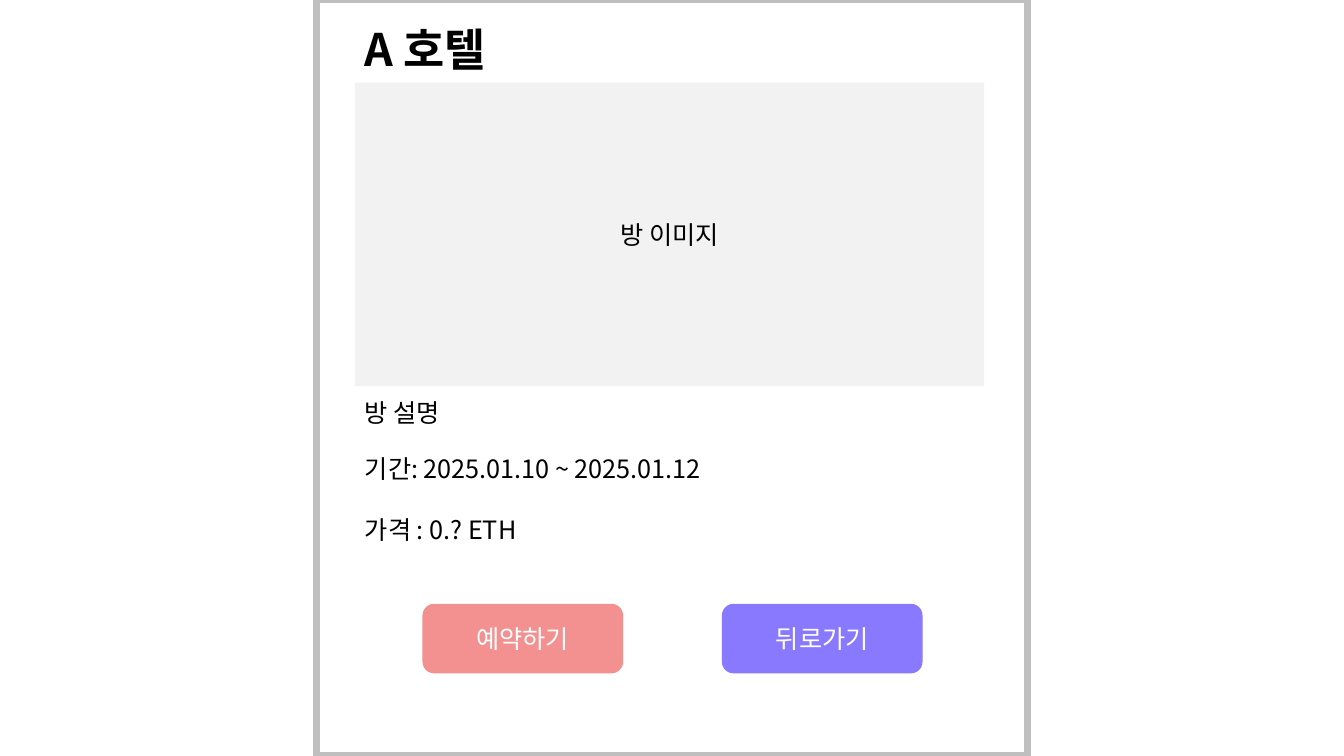
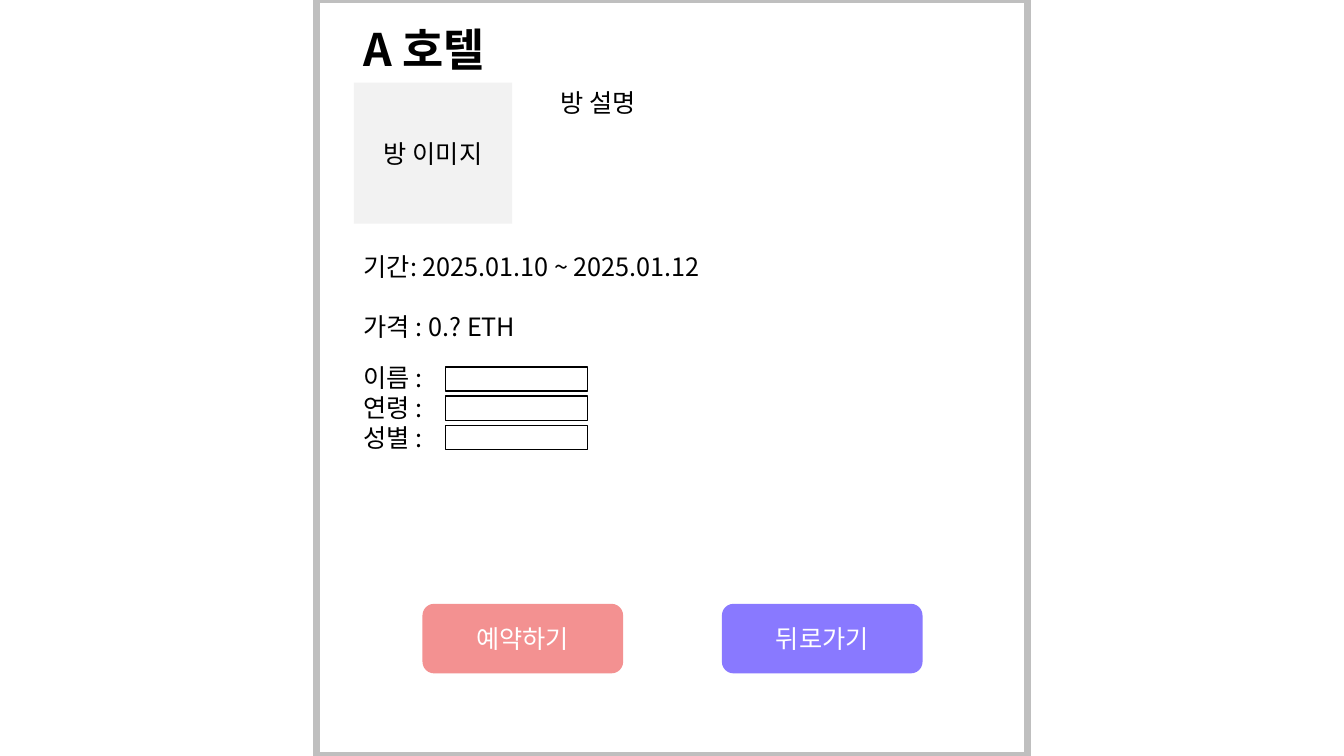
from pptx import Presentation
from pptx.dml.color import RGBColor
from pptx.enum.shapes import MSO_SHAPE as SHAPE
from pptx.enum.text import MSO_ANCHOR as ANCHOR, MSO_AUTO_SIZE as AUTO, PP_ALIGN as ALIGN
from pptx.oxml.ns import qn
from pptx.util import Inches, Pt

FONT = "Noto Sans CJK KR"
COLORS = {"frame": "BFBFBF", "ink": "000000", "photo": "F2F2F2",
          "reserve": "F39191", "back": "8979FF", "white": "FFFFFF"}
BUTTONS = [("예약하기", "reserve"), ("뒤로가기", "back")]
STAY = ["기간: 2025.01.10 ~ 2025.01.12", "가격 : 0.? ETH"]
GUEST = ["이름 :", "연령 :", "성별 :"]
PAGES = [
    {"left": 3.52, "photo": (6.24, 3.01), "about": (3.52, 3.89), "stay": 4.45, "form": False},
    {"left": 3.51, "photo": (1.57, 1.4), "about": (5.46, 0.82), "stay": 2.44, "form": True},
]


def write(frame, lines, size=18, color="ink", bold=False, align=ALIGN.LEFT, gap=0):
    for index, line in enumerate(lines):
        para = frame.paragraphs[0] if index == 0 else frame.add_paragraph()
        para.text = line
        para.alignment = align
        para.space_before = Pt(gap if index else 0)
        font = para.font
        font.name, font.size, font.bold = FONT, Pt(size), bold
        font.color.rgb = RGBColor.from_string(COLORS[color])
        font._element.get_or_change_to_solidFill()
        east = font._element.makeelement(qn("a:ea"), {"typeface": FONT})
        font._element.find(qn("a:latin")).addnext(east)


def add_box(shapes, kind, place, fill=None, line=None, width=1, text=None, color="ink"):
    box = shapes.add_shape(kind, *map(Inches, place))
    box.shadow.inherit = False
    if fill:
        box.fill.solid()
        box.fill.fore_color.rgb = RGBColor.from_string(COLORS[fill])
    else:
        box.fill.background()
    if line:
        box.line.color.rgb = RGBColor.from_string(COLORS[line])
        box.line.width = Pt(width)
    else:
        box.line.fill.background()
    if text:
        box.text_frame.vertical_anchor = ANCHOR.MIDDLE
        write(box.text_frame, [text], color=color, align=ALIGN.CENTER)


deck = Presentation()
deck.slide_width, deck.slide_height = Inches(13.33), Inches(7.5)

for layout in PAGES:
    page = deck.slides.add_slide(deck.slide_layouts[6])
    left = layout["left"]
    add_box(page.shapes, SHAPE.RECTANGLE, (3.14, 0, 7.05, 7.5), line="frame", width=5)

    buttons = page.shapes.add_group_shape()
    for index, (label, fill) in enumerate(BUTTONS):
        add_box(buttons.shapes, SHAPE.ROUNDED_RECTANGLE, (4.19 + 2.97 * index, 5.99, 1.99, 0.69),
                fill=fill, text=label, color="white")

    add_box(page.shapes, SHAPE.RECTANGLE, (left, 0.82, *layout["photo"]), fill="photo", text="방 이미지")

    texts = [
        ((left, 0.17, 1.57, 0.64), ["A 호텔"], {"size": 32, "bold": True}),
        ((*layout["about"], 1.05, 0.4), ["방 설명"], {}),
        ((left, layout["stay"], 3.65, 1.01), STAY, {"gap": 21.6}),
    ]
    if layout["form"]:
        texts.append(((left, 3.54, 0.85, 1.01), GUEST, {}))
        for row in range(len(GUEST)):
            add_box(page.shapes, SHAPE.RECTANGLE, (4.42, 3.64 + 0.29 * row, 1.41, 0.24), line="ink")

    for place, lines, style in texts:
        frame = page.shapes.add_textbox(*map(Inches, place)).text_frame
        frame.word_wrap = False
        frame.auto_size = AUTO.SHAPE_TO_FIT_TEXT
        write(frame, lines, **style)

deck.save("out.pptx")
